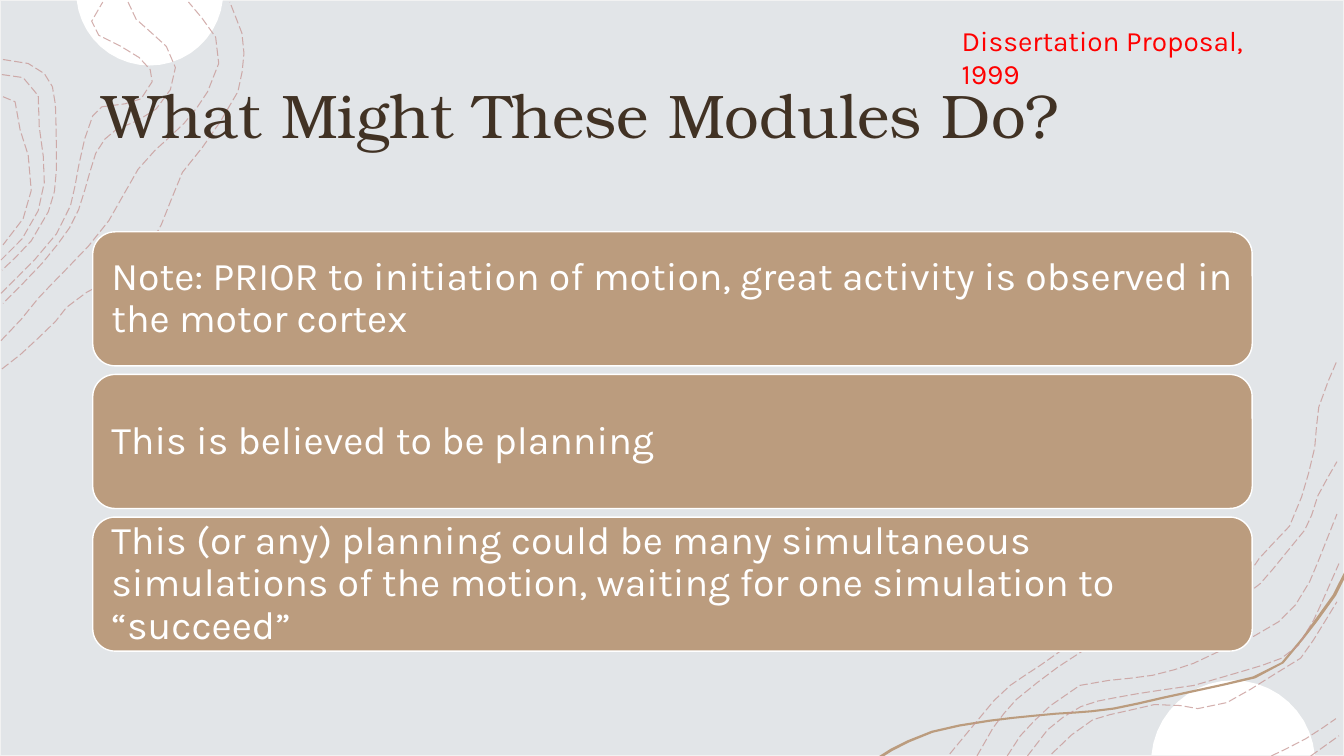
from math import acos, cos, dist, sin
from lxml.etree import SubElement
from pptx import Presentation
from pptx.dml.color import RGBColor
from pptx.enum.dml import MSO_LINE
from pptx.enum.shapes import MSO_SHAPE
from pptx.enum.text import MSO_ANCHOR, PP_ALIGN
from pptx.oxml.ns import qn
from pptx.util import Pt

PX = 9144
COLORS = {"mist": "E2E5E8", "edge": "F2F2F2", "white": "FFFFFF", "tan": "BB9C7E",
          "rose": "C69693", "brown": "413224", "red": "FF0000"}
SLIDE = (0, 0, 1333, 750)

LEFT = [
    [(2, 366), (20, 352), (55, 319), (66, 305), (86, 290), (111, 277), (127, 269),
     (141, 254), (160, 223), (181, 171), (201, 146), (219, 120),
     (236, 91), (242, 53), (240, 33), (228, 2)],
    [(1, 338), (21, 317), (38, 296), (64, 269), (88, 244), (108, 219),
     (137, 168), (154, 149), (183, 122), (206, 91), (217, 63), (214, 37), (187, 2)],
    [(127, 2), (135, 19), (165, 46), (174, 67), (169, 89), (155, 108),
     (136, 120), (116, 128), (104, 138), (95, 152), (84, 189), (78, 208),
     (69, 226), (42, 261), (3, 301)],
    [(1, 291), (35, 257), (56, 232), (70, 204), (78, 165), (84, 138), (92, 115),
     (101, 106), (124, 103), (140, 98), (151, 81), (149, 69), (138, 57), (120, 46),
     (98, 35), (91, 21), (102, 2)],
    [(3, 59), (28, 63), (44, 73), (52, 86), (55, 104), (56, 168),
     (54, 190), (48, 210), (31, 239), (2, 268)],
    [(2, 74), (23, 77), (38, 95), (39, 126), (43, 155), (44, 181), (38, 209),
     (22, 237), (1, 258)],
    [(3, 96), (15, 101), (20, 129), (28, 154), (31, 189), (23, 217), (3, 243)],
]
RIGHT = [
    [(942, 748), (971, 713), (986, 695), (1002, 680), (1032, 660),
     (1056, 643), (1078, 630), (1098, 625), (1126, 629), (1137, 629),
     (1155, 619), (1173, 606), (1200, 596), (1224, 585), (1234, 576),
     (1249, 554), (1261, 541), (1279, 522), (1291, 493),
     (1304, 444), (1308, 404), (1326, 358)],
    [(969, 750), (985, 722), (1008, 694), (1029, 677), (1049, 662), (1075, 645),
     (1103, 638), (1122, 641), (1145, 641), (1164, 633), (1175, 624), (1195, 610),
     (1233, 592), (1250, 579), (1276, 548), (1294, 526), (1301, 511),
     (1307, 492), (1326, 458)],
    [(1300, 750), (1328, 730)],
    [(1261, 750), (1295, 733), (1325, 713)],
    [(1043, 748), (1063, 729), (1084, 714), (1119, 705), (1145, 699), (1171, 700),
     (1188, 703), (1217, 697), (1264, 669), (1290, 653), (1326, 597)],
    [(1019, 750), (1039, 724), (1072, 701), (1107, 692), (1149, 685), (1184, 680),
     (1215, 671), (1252, 660), (1271, 653), (1288, 640), (1303, 615), (1328, 559)],
    [(999, 750), (1012, 730), (1042, 700), (1071, 680), (1100, 675), (1143, 670),
     (1184, 658), (1216, 643), (1244, 631), (1268, 617), (1285, 600),
     (1299, 577), (1326, 510)],
]
OUTER = [(1333, 575), (1325, 591), (1307, 616), (1293, 634), (1273, 658), (1245, 673),
         (1215, 680), (1155, 693), (1105, 704), (1065, 708),
         (1048, 709), (982, 716), (925, 727), (885, 745), (877, 750)]
INNER = [(872, 750), (883, 743), (924, 725), (981, 714), (1048, 707), (1065, 706),
         (1104, 702), (1154, 691), (1214, 678), (1243, 671),
         (1271, 657), (1291, 633), (1304, 615), (1322, 590), (1333, 568)]
CLAIMS = ["Note: PRIOR to initiation of motion, great activity is observed in the motor cortex",
          "This is believed to be planning",
          "This (or any) planning could be many simultaneous simulations of the motion, "
          "waiting for one simulation to “succeed”"]


def rgb(name):
    """Return the named colour."""
    return RGBColor.from_string(COLORS[name])


def apply(item, **values):
    """Set each given attribute on the item."""
    for name, value in values.items():
        setattr(item, name, value)


def paint(shape, fill=None, line=None, width=1):
    """Give a shape its fill and outline, without a shadow."""
    shape.shadow.inherit = False
    for part, color in ((shape.fill, fill), (shape.line.fill, line)):
        if color:
            part.solid()
            part.fore_color.rgb = rgb(color)
        else:
            part.background()
    if line:
        shape.line.width = Pt(width)


def smooth(knots, span=24):
    """Return points on a smooth curve, cutting long stretches to the span."""
    ends = [knots[0], *knots, knots[-1]]
    points = [knots[0]]
    for a, b, c, d in zip(ends, ends[1:], ends[2:], ends[3:]):
        steps = max(1, round(dist(b, c) / span))
        for step in range(1, steps + 1):
            t = step / steps
            points.append(tuple(
                q + t / 2 * (r - p + t * (2 * p - 5 * q + 4 * r - s
                                          + t * (3 * q - p - 3 * r + s)))
                for p, q, r, s in zip(a, b, c, d)))
    return points


def trace(slide, box, points, close=False):
    """Build a freeform from points placed relative to the box."""
    spots = [(round((box[0] + x) * PX), round((box[1] + y) * PX)) for x, y in points]
    pen = slide.shapes.build_freeform(*spots[0], scale=1.0)
    pen.add_line_segments(spots[1:], close=close)
    return pen.convert_to_shape()


def add_cap(slide, box, side):
    """Fill the box with part of a disc, bulging up (-1) or down (1)."""
    x, y, w, h = box
    radius = (w * w / 4 + h * h) / (2 * h)
    half = acos((radius - h) / radius)
    base = 0 if side > 0 else h
    turns = [half * (n / 10 - 1) for n in range(21)]
    arc = [(w / 2 + radius * sin(t), base + side * (radius * cos(t) - radius + h))
           for t in turns]
    paint(trace(slide, box, arc, True), "white")


def add_waves(slide, box, waves):
    """Draw dashed contour lines."""
    for knots in waves:
        wave = trace(slide, box, smooth(knots))
        paint(wave, line="rose", width=0.75)
        wave.line.dash_style = MSO_LINE.LONG_DASH
        tint = next(wave.line._ln.iter(qn("a:srgbClr")))
        SubElement(tint, qn("a:alpha"), val="75000")


def add_scene(slide, box):
    """Draw the backdrop with its discs, ribbon and contours."""
    x, y, w, h = box
    paint(slide.shapes.add_shape(MSO_SHAPE.RECTANGLE, *(v * PX for v in box)),
          "mist", "edge")
    add_cap(slide, (x + 76, y, 145, 65), 1)
    add_cap(slide, (x + w - 191, y + h - 75, 162, 74), -1)
    paint(trace(slide, box, smooth(OUTER) + smooth(INNER), True), "tan")
    add_waves(slide, box, LEFT)
    add_waves(slide, box, RIGHT)


def write(shape, text, face, size, color, spacing=1.0, **frame):
    """Put one left-aligned paragraph in a shape."""
    apply(shape.text_frame, word_wrap=True, **frame)
    para = shape.text_frame.paragraphs[0]
    apply(para, text=text, alignment=PP_ALIGN.LEFT, line_spacing=spacing)
    apply(para.runs[0].font, name=face, size=Pt(size))
    para.runs[0].font.color.rgb = rgb(color)


def add_label(slide, box, *look, **frame):
    """Place a text box."""
    write(slide.shapes.add_textbox(*(v * PX for v in box)), *look, **frame)


def add_panels(slide, box, claims, high=133):
    """Stack equal rounded panels from top to bottom of the box."""
    x, y, w, h = box
    pitch = (h - high) / (len(claims) - 1)
    pad = {f"margin_{side}": 12 * PX for side in ("left", "right", "top", "bottom")}
    for row, claim in enumerate(claims):
        panel = slide.shapes.add_shape(MSO_SHAPE.ROUNDED_RECTANGLE, x * PX,
                                       round((y + row * pitch) * PX), w * PX, high * PX)
        paint(panel, "tan", "white")
        write(panel, claim, "Karla", 28, "white", 0.9,
              vertical_anchor=MSO_ANCHOR.MIDDLE, **pad)


def main():
    """Build the slide and save it."""
    deck = Presentation()
    apply(deck, slide_width=SLIDE[2] * PX, slide_height=SLIDE[3] * PX)
    slide = deck.slides.add_slide(deck.slide_layouts[6])
    add_scene(slide, SLIDE)
    add_label(slide, (92, 40, 1150, 145), "What Might These Modules Do?",
              "TeX Gyre Bonum", 44, "brown", vertical_anchor=MSO_ANCHOR.MIDDLE)
    add_label(slide, (944, 18, 358, 44), "Dissertation Proposal, 1999",
              "Karla", 20, "red")
    add_panels(slide, (92, 230, 1150, 416), CLAIMS)
    deck.save("out.pptx")


if __name__ == "__main__":
    main()
